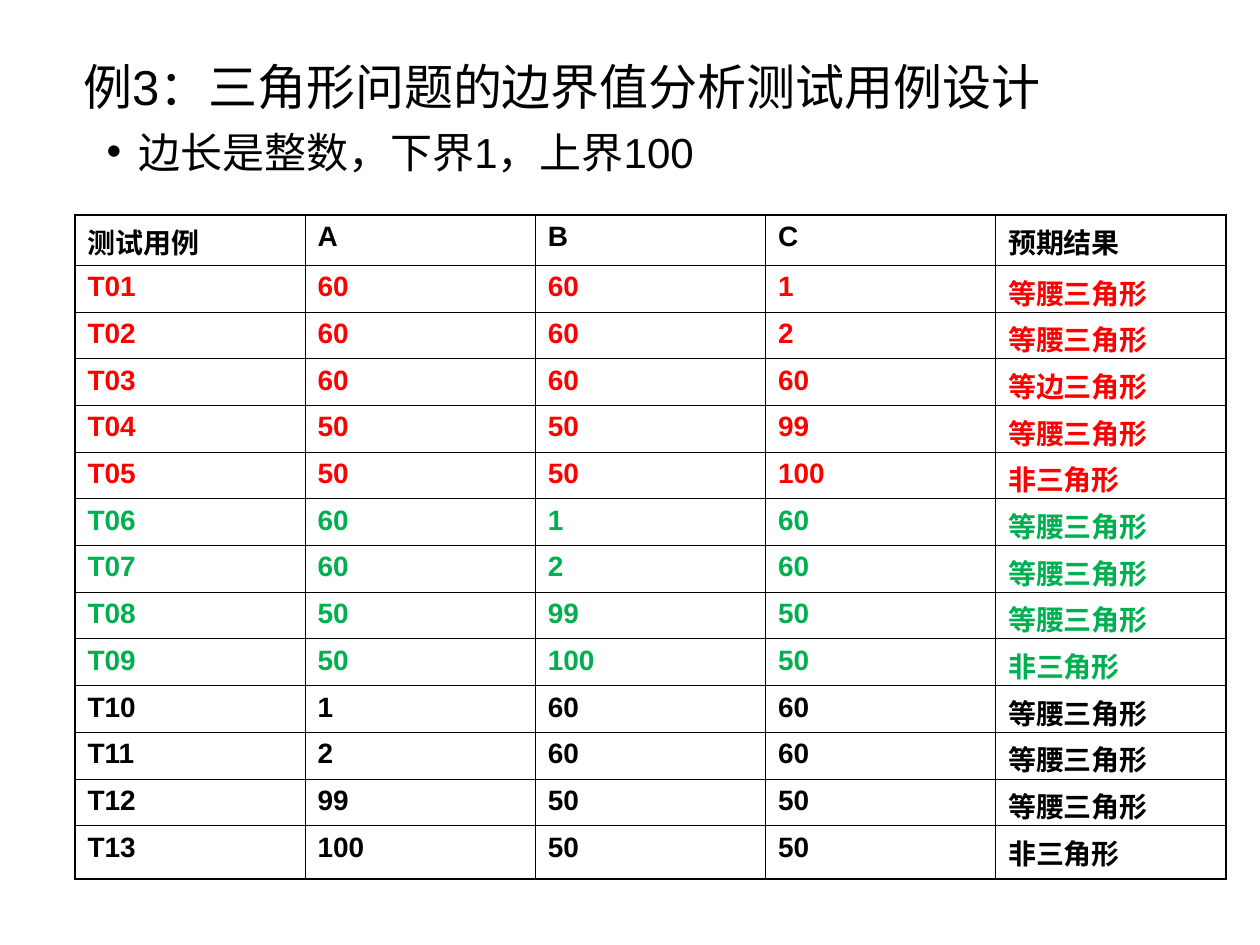
from lxml import etree
from pptx import Presentation
from pptx.dml.color import RGBColor
from pptx.oxml.ns import qn
from pptx.util import Cm, Pt

BLACK = RGBColor(0x00, 0x00, 0x00)
RED = RGBColor(0xFF, 0x00, 0x00)
GREEN = RGBColor(0x00, 0xB0, 0x50)
FONT = "Arial"
THIN, THICK = Pt(0.45), Pt(1.08)

HEADER = ("测试用例", "A", "B", "C", "预期结果")
ISOSCELES, EQUILATERAL, NONE = "等腰三角形", "等边三角形", "非三角形"
CASE_GROUPS = (
    (RED, (
        (60, 60, 1, ISOSCELES),
        (60, 60, 2, ISOSCELES),
        (60, 60, 60, EQUILATERAL),
        (50, 50, 99, ISOSCELES),
        (50, 50, 100, NONE),
    )),
    (GREEN, (
        (60, 1, 60, ISOSCELES),
        (60, 2, 60, ISOSCELES),
        (50, 99, 50, ISOSCELES),
        (50, 100, 50, NONE),
    )),
    (BLACK, (
        (1, 60, 60, ISOSCELES),
        (2, 60, 60, ISOSCELES),
        (99, 50, 50, ISOSCELES),
        (100, 50, 50, NONE),
    )),
)
COLUMN_WIDTH = Cm(4.64)
HEADER_HEIGHT, ROW_HEIGHT, LAST_HEIGHT = Cm(1.02), Cm(0.94), Cm(1.08)


def add_run(paragraph, text, size, color=BLACK, bold=False):
    run = paragraph.add_run()
    run.text = text
    run.font.name = FONT
    run.font.size = Pt(size)
    run.font.bold = bold
    run.font.color.rgb = color


def set_indent(paragraph, left, first_line=0):
    properties = paragraph._p.get_or_add_pPr()
    properties.set("marL", str(left))
    properties.set("indent", str(first_line))
    return properties


def add_bullet(properties):
    color = etree.SubElement(properties, qn("a:buClr"))
    etree.SubElement(color, qn("a:srgbClr"), val=str(BLACK))
    etree.SubElement(properties, qn("a:buFont"), typeface=FONT)
    etree.SubElement(properties, qn("a:buChar"), char="•")


def add_heading(slide):
    """Add the title line and the bulleted premise below it."""
    box = slide.shapes.add_textbox(Cm(0.64), Cm(1.02), Cm(22.86), Cm(3.96))
    frame = box.text_frame
    frame.word_wrap = True

    title = frame.paragraphs[0]
    title.space_before = Pt(7)
    set_indent(title, Cm(0.79))
    add_run(title, "例3：三角形问题的边界值分析测试用例设计", 28)

    premise = frame.add_paragraph()
    premise.level = 1
    premise.space_before = Pt(6)
    add_bullet(set_indent(premise, Cm(1.9), -Cm(0.64)))
    add_run(premise, "边长是整数，下界1，上界100", 24)


def set_borders(cell, widths):
    """Draw the left, right, top and bottom borders, in that order."""
    properties = cell._tc.get_or_add_tcPr()
    for index, (side, width) in enumerate(zip("LRTB", widths)):
        line = etree.Element(qn(f"a:ln{side}"), w=str(width))
        fill = etree.SubElement(line, qn("a:solidFill"))
        etree.SubElement(fill, qn("a:srgbClr"), val=str(BLACK))
        properties.insert(index, line)


def fill_cell(cell, text, color):
    cell.fill.background()
    cell.margin_bottom = Cm(0)  # keeps the rows from growing
    paragraph = cell.text_frame.paragraphs[0]
    paragraph.space_before = Pt(4)
    add_run(paragraph, text, 16, color, bold=True)


def build_rows():
    """Return (colour, texts) for the header and each numbered test case."""
    rows = [(BLACK, HEADER)]
    for color, cases in CASE_GROUPS:
        for case in cases:
            texts = (f"T{len(rows):02d}", *map(str, case))
            rows.append((color, texts))
    return rows


def add_case_table(slide):
    rows = build_rows()
    last_row, last_column = len(rows) - 1, len(HEADER) - 1
    heights = [HEADER_HEIGHT] + [ROW_HEIGHT] * (last_row - 1) + [LAST_HEIGHT]
    table = slide.shapes.add_table(
        len(rows), len(HEADER), Cm(1.51), Cm(4.33),
        COLUMN_WIDTH * len(HEADER), sum(heights)).table
    table.first_row = False
    table.horz_banding = False
    for column in table.columns:
        column.width = COLUMN_WIDTH
    for row_index, (color, texts) in enumerate(rows):
        table.rows[row_index].height = heights[row_index]
        for column_index, text in enumerate(texts):
            cell = table.cell(row_index, column_index)
            fill_cell(cell, text, color)
            outer = (column_index == 0, column_index == last_column,
                     row_index == 0, row_index == last_row)
            set_borders(cell, [THICK if edge else THIN for edge in outer])


def main():
    presentation = Presentation()
    presentation.slide_width = Cm(25.4)
    presentation.slide_height = Cm(19.05)
    slide = presentation.slides.add_slide(presentation.slide_layouts[6])
    add_case_table(slide)
    add_heading(slide)
    presentation.save("out.pptx")


if __name__ == "__main__":
    main()
